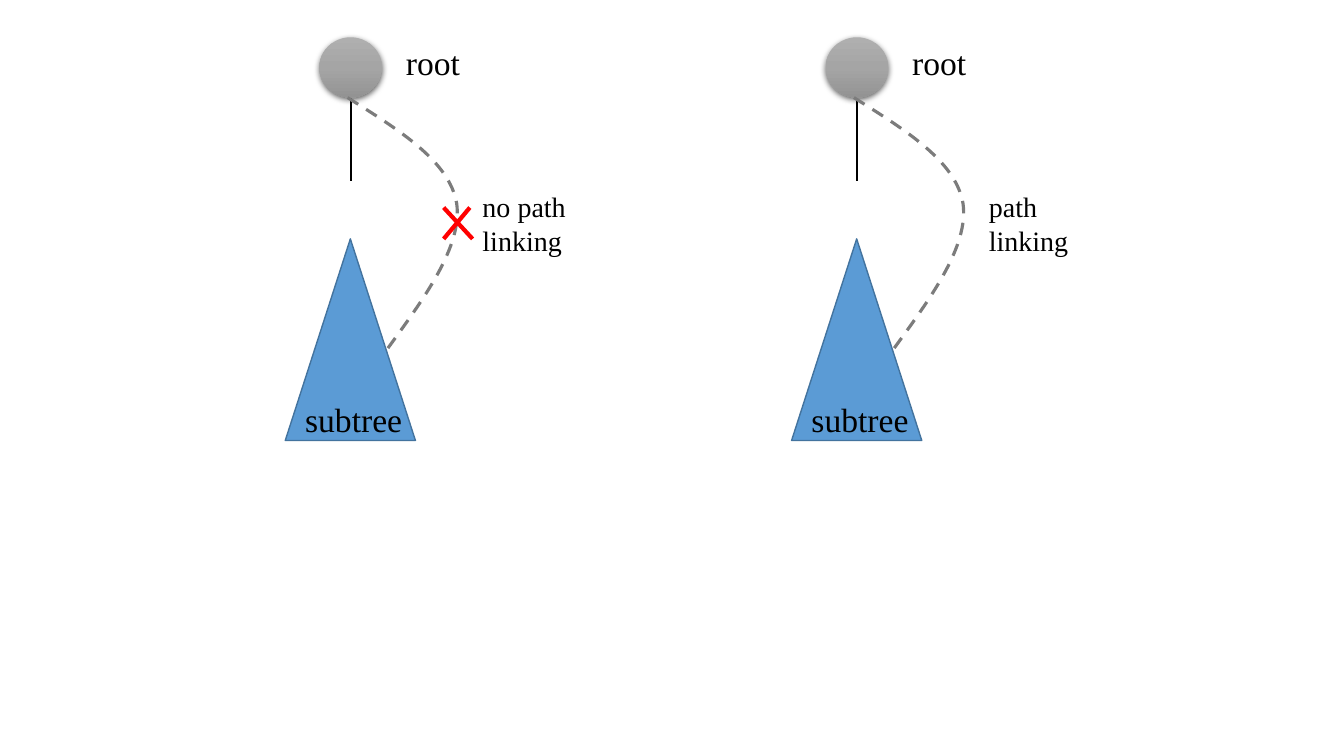
"""Build a slide comparing a tree without and with path linking."""
from lxml import etree
from pptx import Presentation
from pptx import util as u
from pptx.dml.color import RGBColor
from pptx.enum import dml, shapes, text
from pptx.oxml import ns

COLORS = {
    "ink": "000000", "paper": "FFFFFF", "cross": "FF0000", "link": "7C7C7C",
    "subtree": "5B9BD5", "subtree_edge": "43739E",
    "root_top": "AFAFAF", "root_middle": "A5A5A5", "root_bottom": "939393",
}
TREE_STEP = 12.76
LINK_POINTS = [(8.76, 2.46), (10.06, 3.28), (11.33, 4.06), (11.51, 5.13),
               (11.66, 6.2), (10.69, 7.52), (9.75, 8.81)]


def color(name):
    return RGBColor.from_string(COLORS[name])


def add_node(parent, tag, **attributes):
    node = etree.SubElement(parent, ns.qn(tag))
    for key, value in attributes.items():
        node.set(key, str(value))
    return node


class TreeSketch:
    def __init__(self, slide, font="Times New Roman"):
        self.shapes = slide.shapes
        self.font = font
        self.shift = 0

    def point(self, x, y):
        return u.Cm(x + self.shift), u.Cm(y)

    def stroke(self, line, name, width):
        line.color.rgb = color(name)
        line.width = u.Pt(width)

    def line(self, start, end, name, width):
        edge = self.shapes.add_connector(
            shapes.MSO_CONNECTOR.STRAIGHT, *self.point(*start), *self.point(*end))
        self.stroke(edge.line, name, width)
        add_node(edge._element.spPr, "a:effectLst")

    def root(self, x, y, width, height):
        root = self.shapes.add_shape(
            shapes.MSO_SHAPE.OVAL, *self.point(x, y), u.Cm(width), u.Cm(height))
        root.line.fill.background()
        root.fill.gradient()
        root.fill.gradient_angle = 270
        properties = root._element.spPr
        stops = properties.find(".//" + ns.qn("a:gsLst"))
        for stop in list(stops):
            stops.remove(stop)
        for place, part in enumerate(("top", "middle", "bottom")):
            stop = add_node(stops, "a:gs", pos=place * 50000)
            add_node(stop, "a:srgbClr", val=COLORS["root_" + part])
        root.shadow.inherit = False
        shadow = add_node(properties.find(ns.qn("a:effectLst")), "a:outerShdw",
                          blurRad=u.Pt(4.5), dist=u.Pt(1.5), dir=5400000,
                          algn="ctr", rotWithShape=0)
        shade = add_node(shadow, "a:srgbClr", val=COLORS["ink"])
        add_node(shade, "a:alpha", val=63000)

    def subtree(self, x, y, width, height):
        subtree = self.shapes.add_shape(
            shapes.MSO_SHAPE.ISOSCELES_TRIANGLE, *self.point(x, y),
            u.Cm(width), u.Cm(height))
        subtree.shadow.inherit = False
        subtree.fill.solid()
        subtree.fill.fore_color.rgb = color("subtree")
        self.stroke(subtree.line, "subtree_edge", 1)

    def label(self, words, x, y, width, height, size=24):
        label = self.shapes.add_textbox(
            *self.point(x, y), u.Cm(width), u.Cm(height))
        frame = label.text_frame
        frame.word_wrap = True
        frame.auto_size = text.MSO_AUTO_SIZE.SHAPE_TO_FIT_TEXT
        frame.text = words
        font = frame.paragraphs[0].font
        font.name, font.size = self.font, u.Pt(size)
        font.color.rgb = color("ink")

    def link(self, points):
        start, *rest = [self.point(*point) for point in points]
        builder = self.shapes.build_freeform(*start)
        builder.add_line_segments(rest, close=False)
        link = builder.convert_to_shape()
        outline = link._element.spPr.find(".//" + ns.qn("a:path"))
        segments = outline.findall(ns.qn("a:lnTo"))
        for first in range(0, len(segments), 3):
            curve = add_node(outline, "a:cubicBezTo")
            for segment in segments[first:first + 3]:
                curve.append(segment[0])
                outline.remove(segment)
        link.shadow.inherit = False
        link.fill.background()
        self.stroke(link.line, "link", 2.25)
        link.line.dash_style = dml.MSO_LINE.DASH

    def tree(self, shift, caption, caption_width):
        self.shift = shift
        self.line((8.84, 2.44), (8.84, 4.55), "ink", 1.5)
        self.root(8.05, 0.94, 1.57, 1.52)
        self.label("root", 9.98, 0.94, 3.28, 1.27)
        self.subtree(7.19, 6.02, 3.28, 5.08)
        self.label("subtree", 7.44, 9.93, 3.2, 1.27)
        self.label(caption, 11.91, 4.65, caption_width, 1.96, size=20)
        self.link(LINK_POINTS)

    def cross(self, left, top, right, bottom):
        self.line((left, top), (right + 0.07, bottom), "cross", 3)
        self.line((right, top), (left, bottom), "cross", 3)


def main():
    deck = Presentation()
    deck.slide_width, deck.slide_height = u.Cm(33.87), u.Cm(19.05)
    slide = deck.slides.add_slide(deck.slide_layouts[6])
    slide.background.fill.solid()
    slide.background.fill.fore_color.rgb = color("paper")
    sketch = TreeSketch(slide)
    sketch.tree(0, "no path linking", 3.2)
    sketch.cross(11.18, 5.23, 11.84, 6.02)
    sketch.tree(TREE_STEP, "path linking", 3.38)
    deck.save("out.pptx")


if __name__ == "__main__":
    main()
